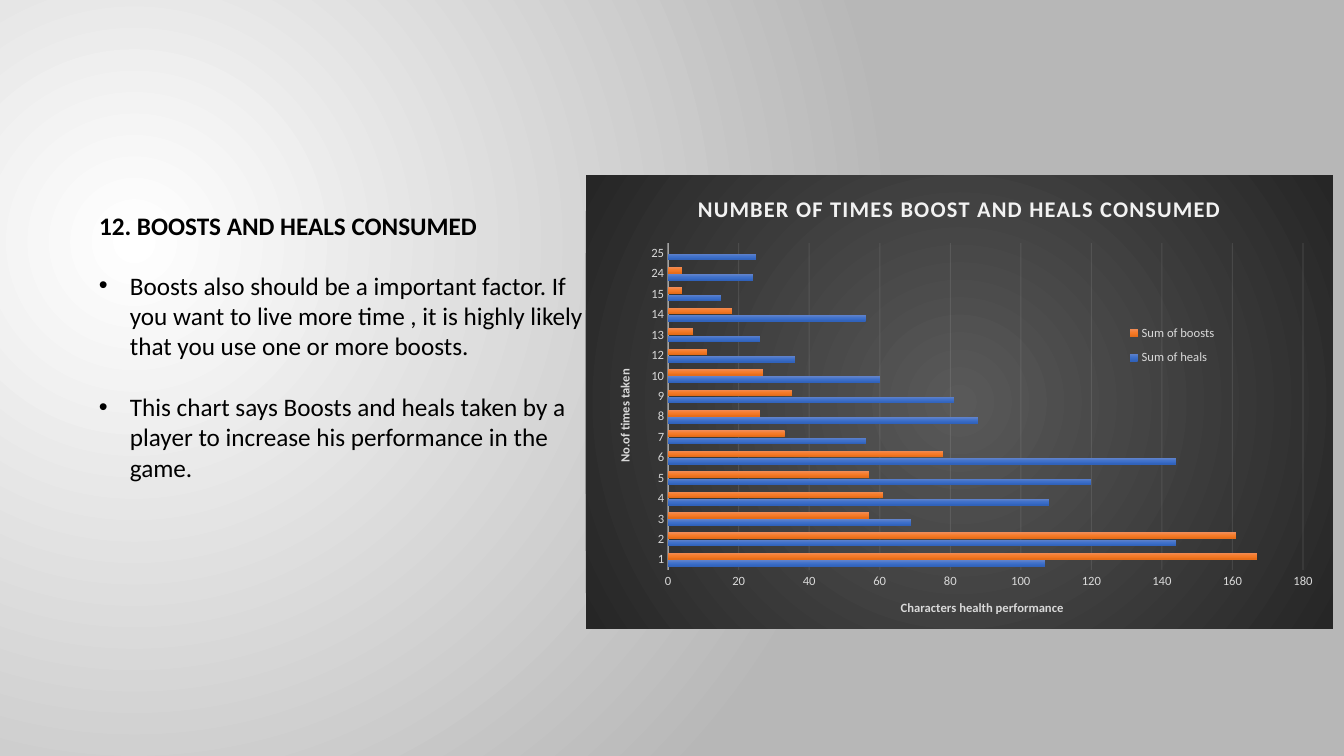
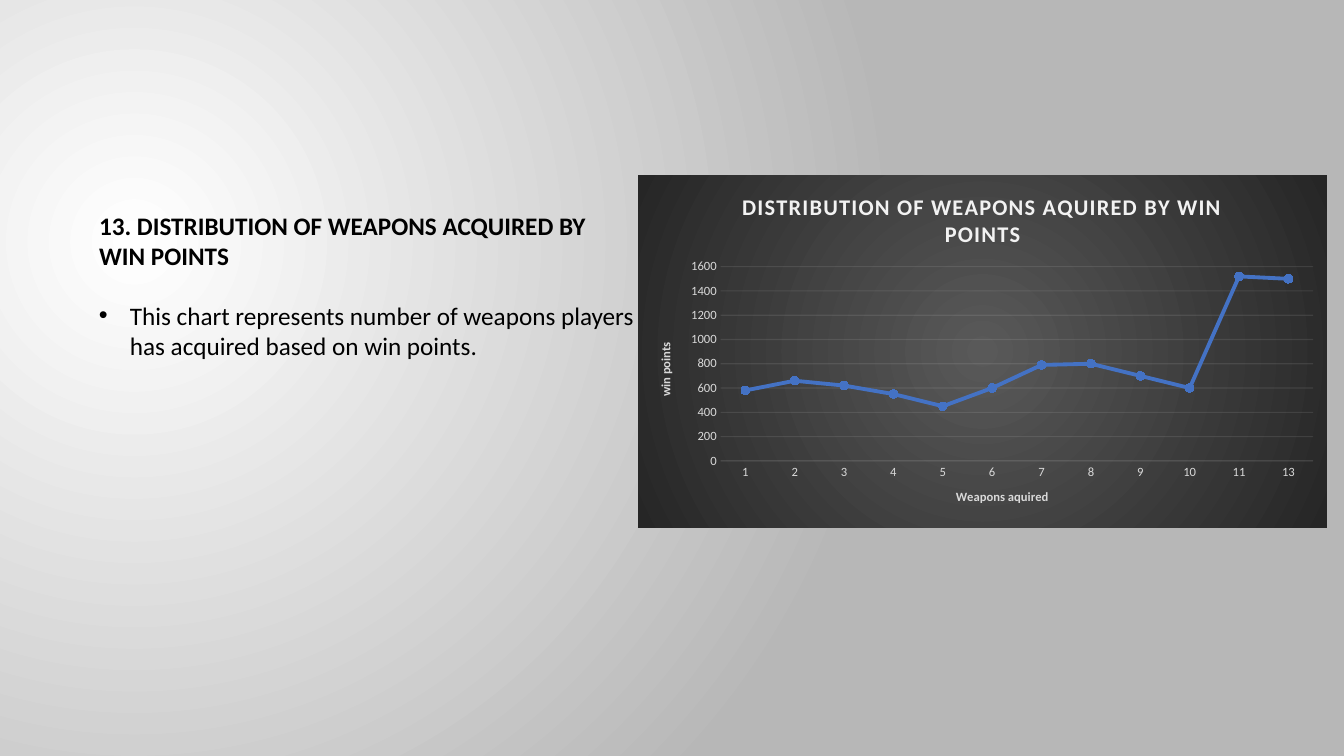
from dataclasses import dataclass

from lxml import etree
from pptx import Presentation
from pptx import util as u
from pptx.chart import data as cd
from pptx.dml import color
from pptx.enum import chart as ce, text
from pptx.oxml import ns, parse_xml

WIDTH, HEIGHT = 1344, 756
SCALE = 12192000 / WIDTH
FONT = "Calibri"
BLACK, PALE, GREY, BLUE = "000000", "F2F2F2", "D9D9D9", "4472C4"
BACKDROP = ["FFFFFF", "B7B7B7"]
PANEL = ["595959", "262626"]
NS = {"a": ns.nsuri("a"), "c": ns.nsuri("c"), "p": ns.nsuri("p")}


@dataclass
class Box:
    left: int
    top: int
    width: int
    height: int

    def emu(self) -> list[int]:
        return [px(v) for v in (self.left, self.top, self.width, self.height)]


@dataclass
class Series:
    name: str
    values: list[int]
    colors: list[str]


@dataclass
class ChartSpec:
    kind: ce.XL_CHART_TYPE
    box: Box
    title: str
    cat_title: str
    val_title: str
    cats: list[int]
    series: list[Series]
    top_value: int
    step: int
    plot: tuple[float, float, float, float]
    axis_width: float
    axis_alpha: int


@dataclass
class SlideSpec:
    heading: str
    heading_box: Box
    bullets: list[str]
    body_box: Box
    chart: ChartSpec


def px(n: int) -> int:
    return round(n * SCALE)


def rgb(value: str) -> color.RGBColor:
    return color.RGBColor.from_string(value)


def gradient(colors: list[str], center: tuple[int, int, int, int] | None = None):
    last = len(colors) - 1
    stops = "".join(
        f'<a:gs pos="{100000 * i // last}"><a:srgbClr val="{c}"/></a:gs>'
        for i, c in enumerate(colors))
    if center:
        l, t, r, b = (v * 1000 for v in center)
        shade = (f'<a:path path="circle"><a:fillToRect l="{l}" t="{t}" '
                 f'r="{r}" b="{b}"/></a:path>')
    else:
        shade = '<a:lin ang="5400000" scaled="0"/>'
    return parse_xml(f'<a:gradFill {ns.nsdecls("a")} rotWithShape="1">'
                     f'<a:gsLst>{stops}</a:gsLst>{shade}</a:gradFill>')


def swap_solid(parent, grad) -> None:
    solid = parent.find("a:solidFill", NS)
    parent.replace(solid, grad)


def add_run(p, words: str, size: float, hue: str, bold: bool = False):
    r = p.add_run()
    r.text = words
    f = r.font
    f.name, f.size, f.bold = FONT, u.Pt(size), bold
    f.color.rgb = rgb(hue)
    return r


def style_line(fmt, hue: str, width: float, alpha: int = 100) -> None:
    fmt.line.color.rgb = rgb(hue)
    fmt.line.width = u.Pt(width)
    if alpha < 100:
        clr = fmt.element.find("c:spPr/a:ln/a:solidFill/a:srgbClr", NS)
        etree.SubElement(clr, ns.qn("a:alpha")).set("val", str(alpha * 1000))


def style_font(font, size: float, hue: str) -> None:
    font.name, font.size = FONT, u.Pt(size)
    font.color.rgb = rgb(hue)


def layout_xml(rect: tuple[float, float, float, float], inner: bool = False):
    target = '<c:layoutTarget val="inner"/>' if inner else ""
    modes = "".join(f'<c:{k}Mode val="edge"/>' for k in "xy")
    sizes = "".join(f'<c:{k} val="{v}"/>' for k, v in zip("xywh", rect))
    return parse_xml(f'<c:layout {ns.nsdecls("c")}><c:manualLayout>{target}{modes}'
                     f'{sizes}</c:manualLayout></c:layout>')


def place_plot(chart, rect: tuple[float, float, float, float]) -> None:
    area = chart.element.find("c:chart/c:plotArea", NS)
    old = area.find("c:layout", NS)
    if old is not None:
        area.remove(old)
    area.insert(0, layout_xml(rect, True))


def style_axis(axis, title: str) -> None:
    axis.major_tick_mark = axis.minor_tick_mark = ce.XL_TICK_MARK.NONE
    style_font(axis.tick_labels.font, 9, GREY)
    add_run(axis.axis_title.text_frame.paragraphs[0], title, 9, GREY, True)


def add_legend(chart) -> None:
    chart.has_legend = True
    legend = chart.legend
    legend.position = ce.XL_LEGEND_POSITION.RIGHT
    legend.include_in_layout = False
    style_font(legend.font, 9, GREY)
    pos = legend.element.find("c:legendPos", NS) if hasattr(legend, "element") else \
        chart.element.find("c:chart/c:legend/c:legendPos", NS)
    old = pos.getparent().find("c:layout", NS)
    if old is not None:
        pos.getparent().remove(old)
    pos.addnext(layout_xml((0.71, 0.31, 0.15, 0.13)))


def style_bars(chart, spec: ChartSpec) -> None:
    plot = chart.plots[0]
    plot.gap_width, plot.overlap = 115, -20
    for s, item in zip(plot.series, spec.series):
        s.format.fill.solid()
        s.format.fill.fore_color.rgb = rgb(item.colors[0])
        swap_solid(s.format.element.find("c:spPr", NS), gradient(item.colors))
    add_legend(chart)


def style_curves(chart, spec: ChartSpec) -> None:
    for s, item in zip(chart.plots[0].series, spec.series):
        hue = item.colors[0]
        s.smooth = False
        style_line(s.format, hue, 2.75)
        s.marker.style, s.marker.size = ce.XL_MARKER_STYLE.CIRCLE, 6
        s.marker.format.fill.solid()
        s.marker.format.fill.fore_color.rgb = rgb(hue)
        s.marker.format.line.color.rgb = rgb(hue)
    chart.has_legend = False
    labels = chart.value_axis.tick_labels
    labels.number_format, labels.number_format_is_linked = "0", False


def add_chart(s, spec: ChartSpec) -> None:
    data = cd.CategoryChartData()
    data.categories = [str(c) for c in spec.cats]
    for item in spec.series:
        data.add_series(item.name, item.values)
    chart = s.shapes.add_chart(spec.kind, *spec.box.emu(), data).chart
    style_font(chart.font, 10, BLACK)
    panel = parse_xml(f'<c:spPr {ns.nsdecls("c", "a")}>'
                      '<a:ln><a:noFill/></a:ln></c:spPr>')
    panel.insert(0, gradient(PANEL, (50, 50, 50, 50)))
    chart.element.find("c:chart", NS).addnext(panel)

    chart.has_title = True
    r = add_run(chart.chart_title.text_frame.paragraphs[0], spec.title, 16, PALE, True)
    r._r.get_or_add_rPr().set("spc", "100")
    chart.chart_title.include_in_layout = False
    chart.plots[0].vary_by_categories = False

    cat, val = chart.category_axis, chart.value_axis
    style_axis(cat, spec.cat_title)
    style_axis(val, spec.val_title)
    style_line(cat.format, PALE, spec.axis_width, spec.axis_alpha)
    val.format.line.fill.background()
    val.has_major_gridlines = True
    style_line(val.major_gridlines.format, PALE, 0.75, 10)
    val.minimum_scale, val.maximum_scale = 0, spec.top_value
    val.major_unit = spec.step
    place_plot(chart, spec.plot)
    if spec.kind == ce.XL_CHART_TYPE.BAR_CLUSTERED:
        style_bars(chart, spec)
    else:
        style_curves(chart, spec)


def prepare_frame(tf) -> None:
    tf.word_wrap = True
    tf.auto_size = text.MSO_AUTO_SIZE.NONE
    tf.vertical_anchor = text.MSO_ANCHOR.TOP


def add_heading(s, words: str, box: Box) -> None:
    sp = s.shapes.title
    sp.left, sp.top, sp.width, sp.height = box.emu()
    prepare_frame(sp.text_frame)
    p = sp.text_frame.paragraphs[0]
    p.alignment = text.PP_ALIGN.LEFT
    add_run(p, words, 18, BLACK, True)


def add_bullets(s, items: list[str], box: Box) -> None:
    tf = s.shapes.add_textbox(*box.emu()).text_frame
    prepare_frame(tf)
    for i, words in enumerate(items):
        p = tf.add_paragraph() if i else tf.paragraphs[0]
        pPr = p._p.get_or_add_pPr()
        pPr.set("marL", str(px(31)))
        pPr.set("indent", str(-px(31)))
        etree.SubElement(pPr, ns.qn("a:buFont")).set("typeface", "Arial")
        etree.SubElement(pPr, ns.qn("a:buChar")).set("char", "•")
        if i:
            p.space_before = u.Pt(22)
        add_run(p, words, 18, BLACK)


def set_backdrop(master) -> None:
    fill = master.background.fill
    fill.solid()
    fill.fore_color.rgb = rgb(BACKDROP[0])
    swap_solid(master.element.find(".//p:bgPr", NS),
               gradient(BACKDROP, (45, 65, 125, 100)))


SLIDES = [
    SlideSpec(
        "12. BOOSTS AND HEALS CONSUMED", Box(89, 205, 519, 42),
        ["Boosts also should be a important factor. If you want to live more time , "
         "it is highly likely that you use one or more boosts.",
         "This chart says Boosts and heals taken by a player to increase his "
         "performance in the game."],
        Box(89, 265, 519, 255),
        ChartSpec(
            ce.XL_CHART_TYPE.BAR_CLUSTERED, Box(586, 175, 747, 454),
            "NUMBER OF TIMES BOOST AND HEALS CONSUMED",
            "No.of times taken", "Characters health performance",
            [*range(1, 11), 12, 13, 14, 15, 24, 25],
            [Series("Sum of heals", [107, 144, 69, 108, 120, 144, 56, 88, 81, 60,
                                     36, 26, 56, 15, 24, 25],
                    ["6183CB", "3E70CA", "3062BB"]),
             Series("Sum of boosts", [167, 161, 57, 61, 57, 78, 33, 26, 35, 27,
                                      11, 7, 18, 4, 4, 0],
                    ["F18C57", "F67B28", "E56C19"])],
            180, 20, (0.11, 0.15, 0.85, 0.72), 1, 54)),
    SlideSpec(
        "13. DISTRIBUTION OF WEAPONS ACQUIRED BY WIN POINTS", Box(89, 205, 519, 72),
        ["This chart represents number of weapons players has acquired based on "
         "win points."],
        Box(89, 295, 585, 74),
        ChartSpec(
            ce.XL_CHART_TYPE.LINE_MARKERS, Box(638, 175, 689, 353),
            "DISTRIBUTION OF WEAPONS AQUIRED BY WIN POINTS",
            "Weapons aquired", "win points",
            [*range(1, 12), 13],
            [Series("Series 1", [580, 660, 620, 550, 450, 600, 790, 800, 700, 600,
                                 1520, 1500], [BLUE])],
            1600, 200, (0.12, 0.26, 0.86, 0.55), 0.75, 10)),
]


def main() -> None:
    prs = Presentation()
    prs.slide_width, prs.slide_height = px(WIDTH), px(HEIGHT)
    set_backdrop(prs.slide_master)
    for spec in SLIDES:
        s = prs.slides.add_slide(prs.slide_layouts.get_by_name("Title Only"))
        add_heading(s, spec.heading, spec.heading_box)
        add_bullets(s, spec.bullets, spec.body_box)
        add_chart(s, spec.chart)
    prs.save("out.pptx")


if __name__ == "__main__":
    main()
